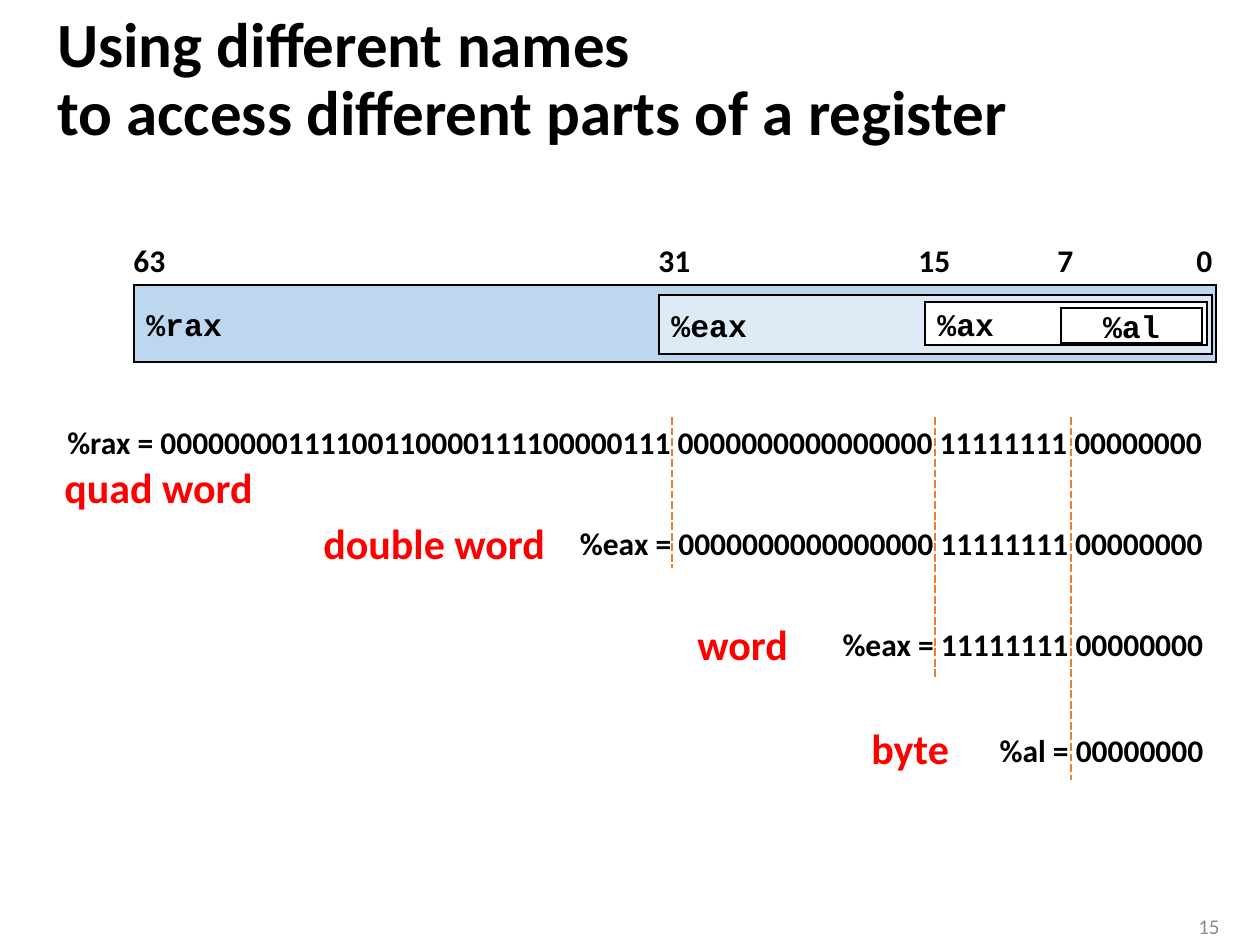
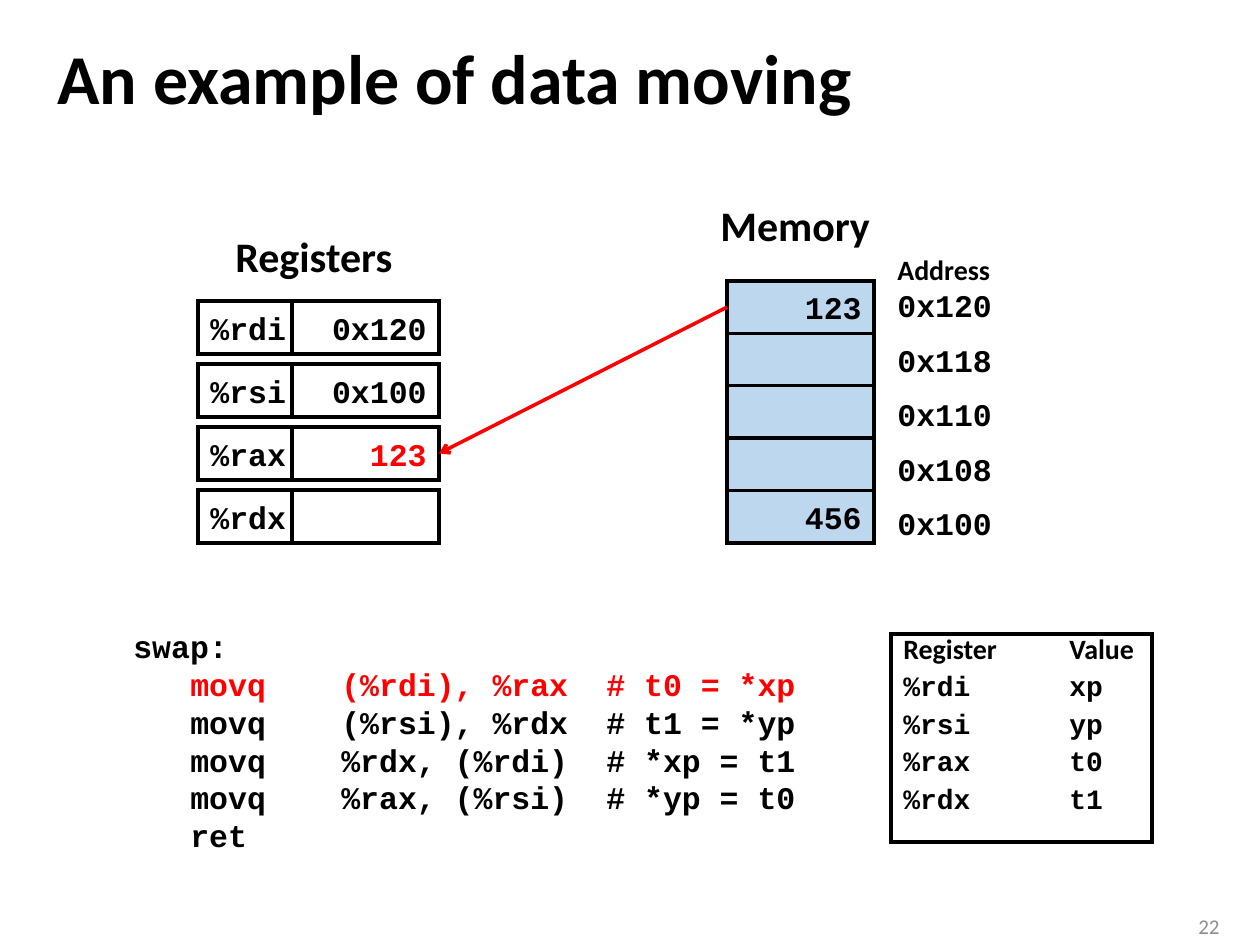
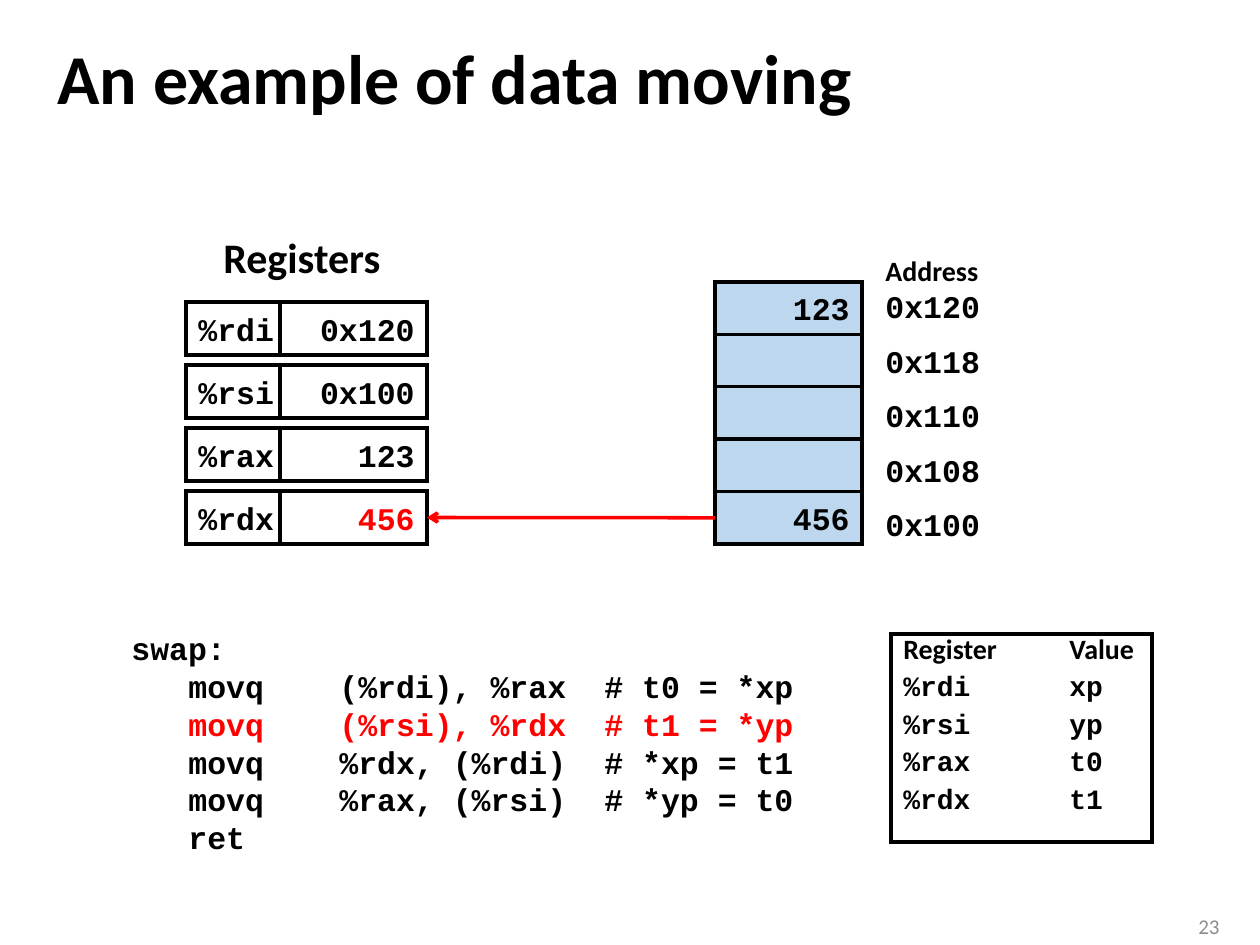
from lxml.etree import SubElement
from pptx import Presentation
from pptx.dml.color import RGBColor
from pptx.enum.dml import MSO_LINE
from pptx.enum.shapes import MSO_CONNECTOR, MSO_SHAPE
from pptx.enum.text import MSO_ANCHOR, PP_ALIGN
from pptx.oxml.ns import qn
from pptx.util import Pt

COLORS = {
    "ink": "000000", "accent": "FF0000", "muted": "8C8C8C", "paper": "FFFFFF",
    "blue": "BDD7EE", "pale": "DEEBF7", "guide": "ED7D31",
}
SANS, MONO = "Calibri", "Courier New"
LEFT, CENTER, RIGHT = PP_ALIGN.LEFT, PP_ALIGN.CENTER, PP_ALIGN.RIGHT
EMU_PER_PX = 914400 / 126

TITLE_BOX = (45, 24, 1171, 115)
NUMBER_BOX = (1168, 907, 64, 39)

# Parts of one register: name, box, fill, line width, alignment
REGISTER_PARTS = [
    ("%rax", (134, 285, 1082, 77), "blue", 0.75, LEFT),
    ("%eax", (659, 295, 553, 59), "pale", 0.75, LEFT),
    ("%ax", (925, 302, 282, 43), "paper", 0.75, LEFT),
    ("%al", (1061, 308, 141, 35), "paper", 1.25, CENTER),
]
# Bit number, left, width
BITS = [("63", 121, 58), ("31", 646, 58), ("15", 906, 58), ("7", 1045, 42), ("0", 1184, 42)]
# Value, left, top
VALUES = [
    ("%rax = 00000000111100110000111100000111 0000000000000000 11111111 00000000", 52, 417),
    ("%eax = 0000000000000000 11111111 00000000", 560, 518),
    ("%eax = 11111111 00000000", 825, 619),
    ("%al = 00000000", 984, 725),
]
VALUES_RIGHT = 1216
# Size name, left, top, width
SIZE_NAMES = [
    ("quad word", 52, 455, 215),
    ("double word", 311, 511, 249),
    ("word", 685, 612, 117),
    ("byte", 859, 716, 105),
]
# Dashed guide: x, bottom
GUIDES = [(672, 568), (935, 678), (1071, 780)]
GUIDES_TOP = 417

MEMORY = ["123", "", "", "", "456"]
ADDRESSES = ["0x120", "0x118", "0x110", "0x108", "0x100"]
REGISTERS = ["%rdi", "%rsi", "%rax", "%rdx"]
SWAP_CODE = [
    "swap:",
    "\tmovq\t(%rdi), %rax\t# t0 = *xp",
    "\tmovq\t(%rsi), %rdx\t# t1 = *yp",
    "\tmovq\t%rdx, (%rdi)\t# *xp = t1",
    "\tmovq\t%rax, (%rsi)\t# *yp = t0",
    "\tret",
]
CODE_TABS = [57, 208, 473]
REGISTER_ROLES = ["Register\tValue", "%rdi\txp", "%rsi\typ", "%rax\tt0", "%rdx\tt1"]

# "moved" is the pair (memory cell, register) joined by the arrow
MOVES = [
    {"number": "22", "register_values": ["0x120", "0x100", "123", ""], "moved": (0, 2),
     "active_line": 1, "shift": (0, 0), "code_at": (121, 621), "memory_heading": True},
    {"number": "23", "register_values": ["0x120", "0x100", "123", "456"], "moved": (4, 3),
     "active_line": 2, "shift": (-12, 1), "code_at": (119, 623), "memory_heading": False},
]
MEMORY_LEFT, MEMORY_TOP, CELL_WIDTH, MEMORY_HEIGHT = 727, 281, 147, 262
REGISTER_LEFT, REGISTER_TOP, NAME_WIDTH, REGISTER_HEIGHT, REGISTER_PITCH = 198, 301, 94, 53, 63
ADDRESS_LEFT, ADDRESS_TOP, ADDRESS_WIDTH, ADDRESS_SPAN = 885, 280, 168, 218


def px(length):
    return round(length * EMU_PER_PX)


def rgb(color):
    return RGBColor.from_string(COLORS[color])


def write(paragraph, text, size, font, color="ink", bold=True):
    run = paragraph.add_run()
    run.text = text
    run.font.size = Pt(size)
    run.font.name = font
    run.font.bold = bold
    run.font.color.rgb = rgb(color)


def set_tabs(paragraph, stops):
    tab_list = SubElement(paragraph._p.get_or_add_pPr(), qn("a:tabLst"))
    for stop in stops:
        SubElement(tab_list, qn("a:tab"), pos=str(px(stop)), algn="l")


def add_text_box(slide, box, anchor=MSO_ANCHOR.TOP, wrap=False):
    frame = slide.shapes.add_textbox(*map(px, box)).text_frame
    frame.word_wrap = wrap
    frame.vertical_anchor = anchor
    return frame


def add_label(slide, text, box, size=18, font=SANS, color="ink", align=LEFT, wrap=False):
    paragraph = add_text_box(slide, box, wrap=wrap).paragraphs[0]
    paragraph.alignment = align
    write(paragraph, text, size, font, color)


def add_box(slide, box, fill, line_width):
    rectangle = slide.shapes.add_shape(MSO_SHAPE.RECTANGLE, *map(px, box))
    rectangle.shadow.inherit = False
    if fill:
        rectangle.fill.solid()
        rectangle.fill.fore_color.rgb = rgb(fill)
    else:
        rectangle.fill.background()
    rectangle.line.color.rgb = rgb("ink")
    rectangle.line.width = Pt(line_width)
    SubElement(rectangle.line._get_or_add_ln(), qn("a:miter"), lim="800000")
    return rectangle.text_frame


def add_cell(slide, text, box, fill="paper", line_width=2, align=LEFT, color="ink"):
    frame = add_box(slide, box, fill, line_width)
    if text:
        frame.word_wrap = False
        frame.vertical_anchor = MSO_ANCHOR.MIDDLE
        frame.paragraphs[0].alignment = align
        write(frame.paragraphs[0], text, 18, MONO, color)


def add_line(slide, start, end, color, width):
    connector = slide.shapes.add_connector(MSO_CONNECTOR.STRAIGHT, *map(px, start + end))
    connector.line.color.rgb = rgb(color)
    connector.line.width = Pt(width)
    SubElement(connector._element.spPr, qn("a:effectLst"))
    return connector.line


def add_slide(deck, title_lines, title_size, number):
    """Add a blank slide with the shared title and slide number."""
    slide = deck.slides.add_slide(deck.slide_layouts[6])
    title = add_text_box(slide, TITLE_BOX, MSO_ANCHOR.MIDDLE, wrap=True).paragraphs[0]
    title.line_spacing = 0.9
    for index, line in enumerate(title_lines):
        if index:
            title.add_line_break()
        write(title, line, title_size, SANS)
    footer = add_text_box(slide, NUMBER_BOX, MSO_ANCHOR.MIDDLE, wrap=True).paragraphs[0]
    footer.alignment = RIGHT
    write(footer, number, 12, SANS, "muted", bold=False)
    return slide


def add_register_names(deck):
    slide = add_slide(
        deck, ["Using different names", "to access different parts of a register"], 36, "15")
    for name, box, fill, line_width, align in REGISTER_PARTS:
        add_cell(slide, name, box, fill, line_width, align)
    for bit, left, width in BITS:
        add_label(slide, bit, (left, 235, width, 50))
    for value, left, top in VALUES:
        add_label(slide, value, (left, top, VALUES_RIGHT - left, 50), align=RIGHT)
    for x, bottom in GUIDES:
        guide = add_line(slide, (x, GUIDES_TOP), (x, bottom), "guide", 1.5)
        guide.dash_style = MSO_LINE.SQUARE_DOT
    for name, left, top, width in SIZE_NAMES:
        add_label(slide, name, (left, top, width, 63), 24, color="accent")


def add_code(slide, position, active_line):
    frame = add_text_box(slide, position + (809, 242), wrap=True)
    for index, line in enumerate(SWAP_CODE):
        paragraph = frame.add_paragraph() if index else frame.paragraphs[0]
        set_tabs(paragraph, CODE_TABS)
        write(paragraph, line, 18, MONO, "accent" if index == active_line else "ink")


def add_register_roles(slide):
    frame = add_box(slide, (891, 634, 261, 208), None, 2)
    frame.vertical_anchor = MSO_ANCHOR.TOP
    for index, row in enumerate(REGISTER_ROLES):
        paragraph = frame.add_paragraph() if index else frame.paragraphs[0]
        paragraph.alignment = LEFT
        paragraph.line_spacing = 0.7
        paragraph.space_before = Pt(8)
        set_tabs(paragraph, [166])
        write(paragraph, row, 16, MONO if index else SANS)


def add_data_move(deck, move):
    slide = add_slide(deck, ["An example of data moving"], 40, move["number"])
    dx, dy = move["shift"]
    source, target = move["moved"]

    memory_left, memory_top = MEMORY_LEFT + dx, MEMORY_TOP + dy
    cell_height = MEMORY_HEIGHT / len(MEMORY)
    for index, content in enumerate(MEMORY):
        top = memory_top + index * cell_height
        add_cell(slide, content, (memory_left, top, CELL_WIDTH, cell_height), "blue", align=RIGHT)

    name_left, register_top = REGISTER_LEFT + dx, REGISTER_TOP + dy
    value_left = name_left + NAME_WIDTH
    for index, (name, value) in enumerate(zip(REGISTERS, move["register_values"])):
        top = register_top + index * REGISTER_PITCH
        add_cell(slide, name, (name_left, top, NAME_WIDTH, REGISTER_HEIGHT))
        add_cell(slide, value, (value_left, top, CELL_WIDTH, REGISTER_HEIGHT), align=RIGHT,
                 color="accent" if index == target else "ink")

    add_label(slide, "Registers", (223 + dx, 224 + dy, 186, 63), 24)
    if move["memory_heading"]:
        add_label(slide, "Memory", (708 + dx, 193 + dy, 176, 63), 24)

    start = (memory_left, memory_top + (source + 0.5) * cell_height)
    end = (value_left + CELL_WIDTH, register_top + target * REGISTER_PITCH + REGISTER_HEIGHT / 2)
    arrow = add_line(slide, start, end, "accent", 2)
    SubElement(arrow._get_or_add_ln(), qn("a:tailEnd"), type="arrow")

    add_code(slide, move["code_at"], move["active_line"])
    address_left, address_top = ADDRESS_LEFT + dx, ADDRESS_TOP + dy
    address_pitch = ADDRESS_SPAN / (len(ADDRESSES) - 1)
    for index, address in enumerate(ADDRESSES):
        top = address_top + index * address_pitch
        add_label(slide, address, (address_left, top, ADDRESS_WIDTH, 50), font=MONO, wrap=True)
    add_label(slide, "Address", (address_left, 246 + dy, ADDRESS_WIDTH, 47), 16, wrap=True)
    add_register_roles(slide)


def main():
    deck = Presentation()
    deck.slide_width, deck.slide_height = px(1260), px(945)
    add_register_names(deck)
    for move in MOVES:
        add_data_move(deck, move)
    deck.save("out.pptx")


if __name__ == "__main__":
    main()
